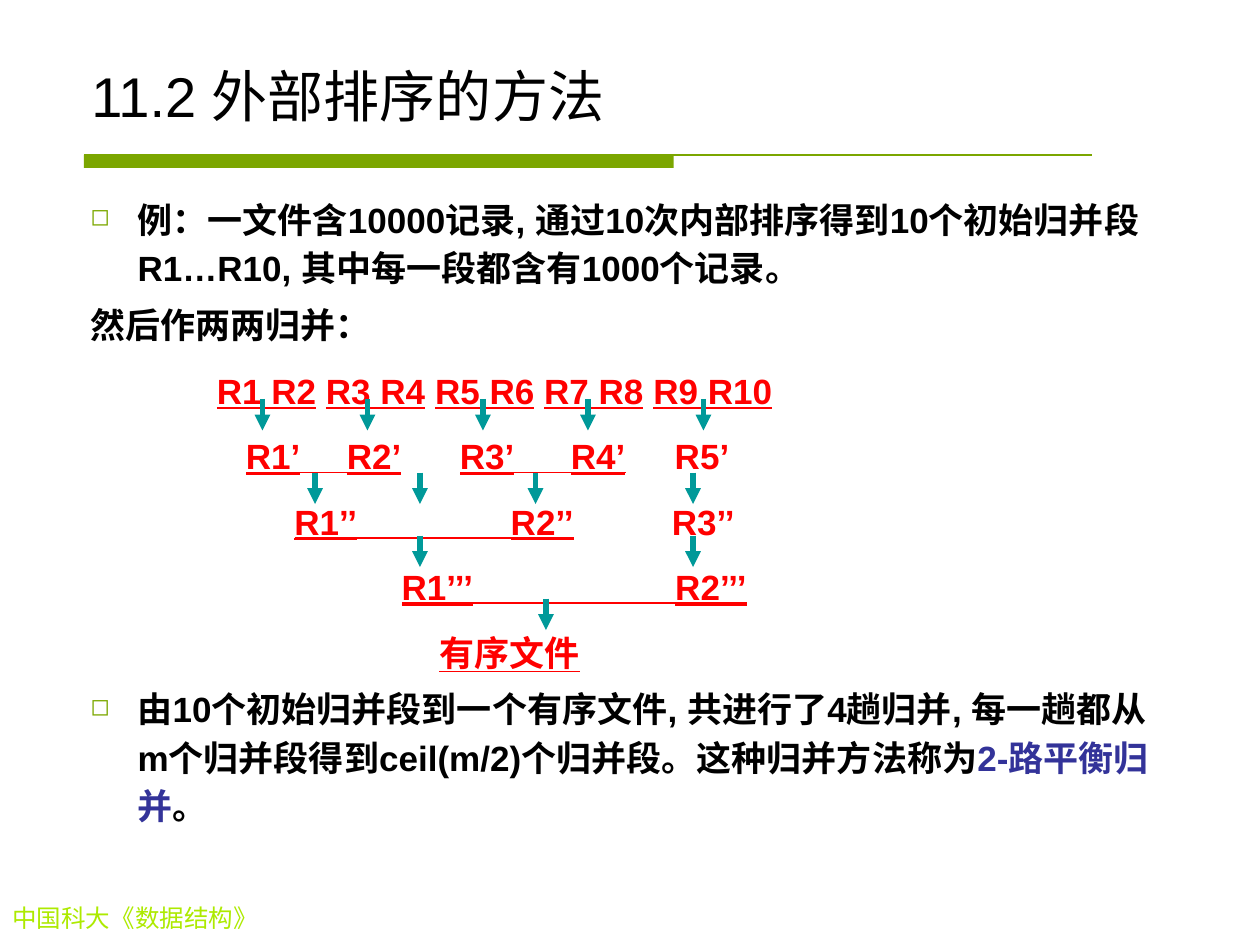
"""Build the slide that explains two-way balanced merging in external sorting."""
from lxml import etree
from pptx import Presentation
from pptx.dml.color import RGBColor
from pptx.enum import shapes, text
from pptx.oxml import ns
from pptx.util import Pt

THEME = {
    "ink": "000000", "merge": "FF0000", "term": "333399", "arrow": "009999",
    "rule": "7BA600", "bullet": "7CA800", "footer": "ADEA00",
    "title_size": 32, "body_size": 20, "footer_size": 14,
    "font": "Arial", "footer_font": "Times New Roman",
}

TITLE = "11.2 外部排序的方法"
FOOTER = "中国科大《数据结构》"
EXAMPLE = "例：一文件含10000记录, 通过10次内部排序得到10个初始归并段R1…R10, 其中每一段都含有1000个记录。"
THEN = "然后作两两归并："
SUMMARY = [
    ("由10个初始归并段到一个有序文件, 共进行了4趟归并, 每一趟都从m个归并段得到ceil(m/2)个归并段。这种归并方法称为", {}),
    ("2-路平衡归并", {"color": THEME["term"]}),
    ("。", {}),
]
UNDERLINED = {"underline": True}
INITIAL_PAIRS = ["R1 R2", "R3 R4", "R5 R6", "R7 R8", "R9 R10"]
INITIAL_RUNS = [(INITIAL_PAIRS[0], UNDERLINED)]
for pair in INITIAL_PAIRS[1:]:
    INITIAL_RUNS += [(" ", {}), (pair, UNDERLINED)]

MERGE_PASSES = [
    [(124, INITIAL_RUNS)],
    [(140.6, [("R1’", UNDERLINED)]), (198.3, [("R2’", UNDERLINED)]),
     (262.9, [("R3’", UNDERLINED)]), (326.3, [("R4’", UNDERLINED)]), (385.7, "R5’")],
    [(168.3, [("R1’’", UNDERLINED)]), (292, [("R2’’", UNDERLINED)]), (384, "R3’’")],
    [(229.7, [("R1’’’", UNDERLINED)]), (386, [("R2’’’", UNDERLINED)])],
    [(251.2, [("有序文件", UNDERLINED)])],
]
PAIR_LINES = [
    (1, 140.6, 229.1), (1, 262.9, 357.7),
    (2, 168.3, 328),
    (3, 229.7, 426.9),
]
ARROWS = [
    (228, [150, 210, 276, 336, 402]),
    (270, [180, 240, 306, 396]),
    (306, [240, 396]),
    (342, [312]),
]
ARROW_LENGTH = 18
PASS_TOP, PASS_PITCH, PASS_HEIGHT = 208.7, 37.4, 30
UNDERLINE_TOP = 232.6
INSET = 7.2


def rgb(name):
    return RGBColor.from_string(name)


def add_element(parent, tag, **attributes):
    return etree.SubElement(parent, ns.qn(tag), attributes)


def write(paragraph, content, bullet=False, indent=0, spacing=None, before=0,
          size=THEME["body_size"], font=THEME["font"], color=THEME["ink"], bold=False):
    paragraph.alignment = text.PP_ALIGN.LEFT
    properties = paragraph._p.get_or_add_pPr()
    properties.set("marL", str(Pt(indent)))
    properties.set("indent", str(-Pt(indent)))
    if bullet:
        bullet_color = add_element(properties, "a:buClr")
        add_element(bullet_color, "a:srgbClr", val=THEME["bullet"])
        add_element(properties, "a:buSzPct", val="68000")
        add_element(properties, "a:buChar", char="◻")
    else:
        add_element(properties, "a:buNone")
    if spacing:
        paragraph.line_spacing = spacing
    paragraph.space_before = Pt(before)
    for words, changes in [(content, {})] if isinstance(content, str) else content:
        run = paragraph.add_run()
        run.text = words
        run.font.size, run.font.name, run.font.bold = Pt(size), font, bold
        run.font.color.rgb = rgb(changes.get("color", color))
        run.font.underline = changes.get("underline", False)


def place(shape, left, top, width, height, anchor=text.MSO_ANCHOR.TOP):
    shape.left, shape.top, shape.width, shape.height = map(Pt, (left, top, width, height))
    shape.text_frame.word_wrap = True
    shape.text_frame.auto_size = text.MSO_AUTO_SIZE.NONE
    shape.text_frame.vertical_anchor = anchor
    return shape.text_frame


def add_box(slide, *bounds, **options):
    return place(slide.shapes.add_textbox(0, 0, 0, 0), *bounds, **options)


def add_line(slide, start, end, color, width, arrow=False):
    line = slide.shapes.add_connector(shapes.MSO_CONNECTOR.STRAIGHT, *map(Pt, start + end))
    line.line.color.rgb = rgb(color)
    line.line.width = Pt(width)
    if arrow:
        add_element(line.line._get_or_add_ln(), "a:tailEnd", type="triangle")
    add_element(line._element.spPr, "a:effectLst")


def add_rule(slide):
    bar = slide.shapes.add_shape(shapes.MSO_SHAPE.RECTANGLE, *map(Pt, (48, 88.5, 337, 7.5)))
    bar.shadow.inherit = False
    bar.fill.solid()
    bar.fill.fore_color.rgb = rgb(THEME["rule"])
    bar.line.fill.background()
    add_line(slide, (48, 88.5), (624, 88.5), THEME["rule"], 0.75)


def add_explanation(slide):
    intro = add_box(slide, 44.5, 106, 630, 96)
    write(intro.paragraphs[0], EXAMPLE, bullet=True, indent=27, spacing=1.15, bold=True)
    write(intro.add_paragraph(), THEN, spacing=1.15, before=5, bold=True)
    summary = add_box(slide, 44.5, 386, 630, 111)
    write(summary.paragraphs[0], SUMMARY, bullet=True, indent=27, spacing=1.15, bold=True)


def add_merge_tree(slide):
    for level, labels in enumerate(MERGE_PASSES):
        width = 350 if level == 0 else 100
        for x, label in labels:
            frame = add_box(slide, x - INSET, PASS_TOP + level * PASS_PITCH, width, PASS_HEIGHT,
                            anchor=text.MSO_ANCHOR.BOTTOM)
            write(frame.paragraphs[0], label, color=THEME["merge"], bold=True)
    for level, start, end in PAIR_LINES:
        y = UNDERLINE_TOP + level * PASS_PITCH
        add_line(slide, (start, y), (end, y), THEME["merge"], 1.1)
    for top, centers in ARROWS:
        for x in centers:
            add_line(slide, (x, top), (x, top + ARROW_LENGTH), THEME["arrow"], 3, arrow=True)


def main():
    deck = Presentation()
    deck.slide_width, deck.slide_height = Pt(720), Pt(540)
    slide = deck.slides.add_slide(deck.slide_layouts[5])

    add_rule(slide)
    footer = add_box(slide, 0, 512.5, 224, 24.5)
    write(footer.paragraphs[0], FOOTER, size=THEME["footer_size"],
          font=THEME["footer_font"], color=THEME["footer"])
    title = place(slide.shapes.title, 45, 24, 630, 53, anchor=text.MSO_ANCHOR.BOTTOM)
    write(title.paragraphs[0], TITLE, size=THEME["title_size"])

    add_explanation(slide)
    add_merge_tree(slide)
    deck.save("out.pptx")


if __name__ == "__main__":
    main()
